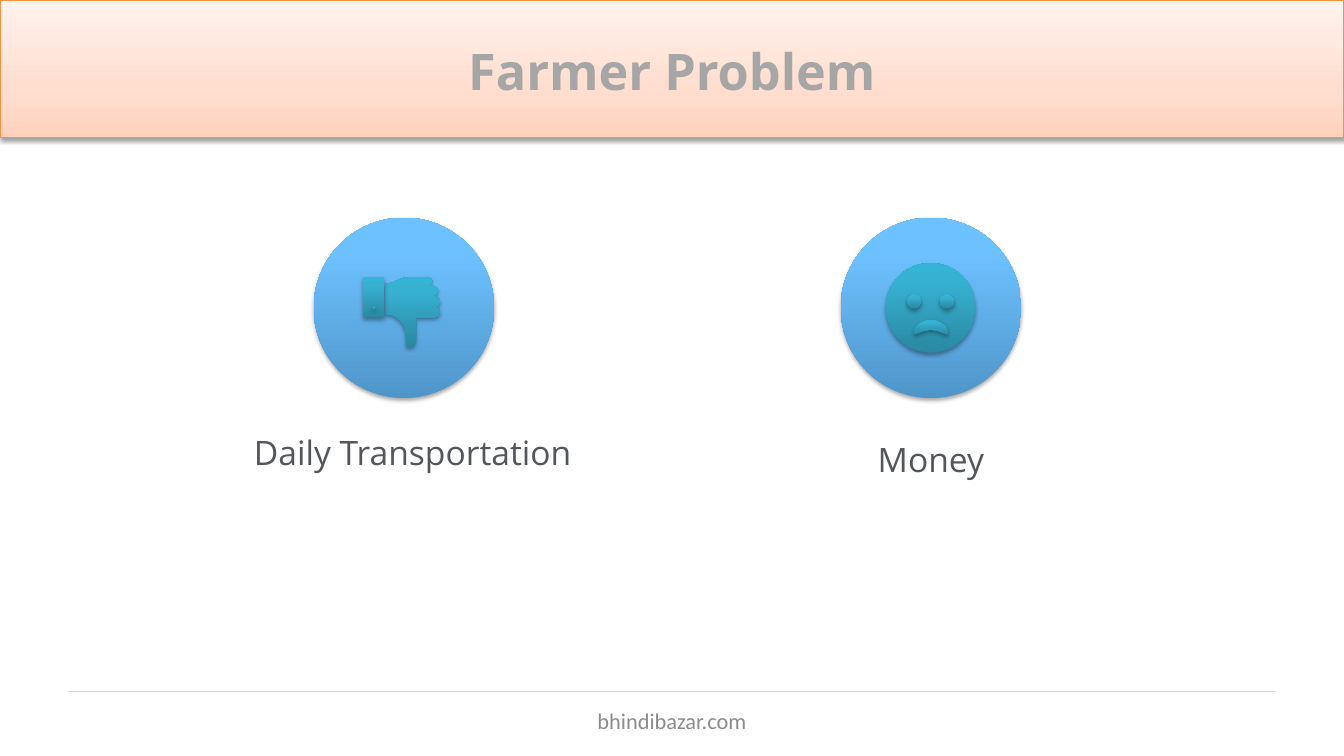
import pptx
import pptx.dml.color
import pptx.enum.shapes
import pptx.enum.text
import pptx.oxml
import pptx.oxml.ns
import pptx.util

Pt = pptx.util.Pt
MSO = pptx.enum.shapes.MSO_SHAPE
ANCHOR = pptx.enum.text.MSO_ANCHOR
NS = pptx.oxml.ns.nsdecls("a")

COLORS = {
    "rule": "D9D9D9",
    "header_line": "F69240",
    "title": "A6A6A6",
    "label": "53575C",
    "footer": "8C8C8C",
    "shadow": "000000",
}
GRADIENTS = {
    "header": [(0, "FFD2BD"), (35, "FFDED0"), (100, "FFF2ED")],
    "disc": [(0, "4F95C9"), (80, "6DC1FF"), (100, "6FC1FF")],
    "icon": [(0, "2A88A2"), (80, "37B1D2"), (100, "34B4D6")],
}
THUMB = [
    (16.6, 0), (31, 0), (33.1, 1.1), (33.8, 3), (33.1, 5), (31, 5.8),
    (33.8, 5.8), (36.7, 7.2), (38.2, 10), (36.7, 12.2), (33.8, 13.7),
    (36, 13.7), (38.9, 15.1), (39.6, 18), (38.2, 20.2), (36, 20.9),
    (38.9, 22.3), (39.6, 25.2), (38.2, 27.4), (36, 28.8), (22.3, 28.8),
    (22.3, 46), (20.9, 49), (18, 49.7), (15.8, 49.7), (15.1, 48.2),
    (15.1, 42.5), (14.4, 38.2), (13, 33.8), (10.8, 31), (7.2, 28),
    (3.6, 26.6), (0, 26.6), (0, 4.3), (3.6, 4.3), (7.2, 2.9),
    (10.8, 1.4), (13.7, 0.5),
]
MOUTH_WIDTH = 24.5
MOUTH_HALF = [
    (12.25, 0), (15.8, 0.7), (19.4, 2.2), (22.3, 4.3), (23.8, 6.5),
    (24.5, 9.4), (23.8, 10.6), (22.3, 10.1), (19.4, 8.8), (15.8, 7.7),
    (12.25, 7.2),
]
MOUTH = MOUTH_HALF + [(MOUTH_WIDTH - x, y) for x, y in MOUTH_HALF[-2:0:-1]]


def rgb(name):
    return pptx.dml.color.RGBColor.from_string(COLORS[name])


def add_effects(sp, content=""):
    sp._element.spPr.append(pptx.oxml.parse_xml(f"<a:effectLst {NS}>{content}</a:effectLst>"))


def style(sp, gradient, line=None, alpha=35, dist=1.8):
    sp.fill.gradient()
    sp.fill.gradient_angle = 90
    stops = "".join(
        f'<a:gs pos="{pos * 1000}"><a:srgbClr val="{color}"/></a:gs>'
        for pos, color in GRADIENTS[gradient]
    )
    old = sp._element.spPr.find(".//" + pptx.oxml.ns.qn("a:gsLst"))
    old.getparent().replace(old, pptx.oxml.parse_xml(f"<a:gsLst {NS}>{stops}</a:gsLst>"))
    if line:
        sp.line.color.rgb = rgb(line)
        sp.line.width = Pt(0.75)
    else:
        sp.line.fill.background()
    add_effects(
        sp,
        f'<a:outerShdw blurRad="{Pt(3.1)}" dist="{Pt(dist)}" dir="5400000" rotWithShape="0">'
        f'<a:srgbClr val="{COLORS["shadow"]}"><a:alpha val="{alpha * 1000}"/></a:srgbClr>'
        "</a:outerShdw>",
    )


def add_preset(shapes, kind, x, y, w, h, gradient, **options):
    sp = shapes.add_shape(kind, Pt(x), Pt(y), Pt(w), Pt(h))
    style(sp, gradient, **options)


def add_outline(shapes, x, y, points, gradient):
    points = [(Pt(x + dx), Pt(y + dy)) for dx, dy in points]
    builder = shapes.build_freeform(*points[0])
    builder.add_line_segments(points[1:], close=True)
    style(builder.convert_to_shape(), gradient)


def add_text(s, x, y, w, h, text, size, font, color, bold=False,
             anchor=ANCHOR.MIDDLE, insets=(9.36, 5.04)):
    tf = s.shapes.add_textbox(Pt(x), Pt(y), Pt(w), Pt(h)).text_frame
    tf.word_wrap = True
    tf.vertical_anchor = anchor
    tf.margin_left = tf.margin_right = Pt(insets[0])
    tf.margin_top = tf.margin_bottom = Pt(insets[1])
    tf.text = text
    p = tf.paragraphs[0]
    p.alignment = pptx.enum.text.PP_ALIGN.CENTER
    r = p.runs[0]
    r.font.size = Pt(size)
    r.font.name = font
    r.font.bold = bold
    r.font.color.rgb = rgb(color)


def add_label(s, x, y, text):
    add_text(s, x, y, 303, 36, text, 24, "Open Sans", "label",
             anchor=ANCHOR.TOP, insets=(7.2, 3.6))


def add_rule(s, x1, x2, y):
    line = s.shapes.add_connector(pptx.enum.shapes.MSO_CONNECTOR.STRAIGHT,
                                  Pt(x1), Pt(y), Pt(x2), Pt(y))
    line.line.color.rgb = rgb("rule")
    line.line.width = Pt(0.75)
    add_effects(line)


def add_thumb_down(s):
    shapes = s.shapes.add_group_shape().shapes
    add_outline(shapes, 275, 198, THUMB, "icon")
    add_preset(shapes, MSO.RECTANGLE, 259, 198, 15.4, 28.8, "icon")
    add_preset(shapes, MSO.OVAL, 266.2, 219, 2, 2, "icon")


def add_sad_face(s):
    shapes = s.shapes.add_group_shape().shapes
    add_preset(shapes, MSO.OVAL, 632.7, 187.9, 64, 64, "icon")
    add_outline(shapes, 652.7, 228.4, MOUTH, "icon")
    for x in (671.2, 648):
        add_preset(shapes, MSO.OVAL, x, 210.2, 10.2, 10.2, "icon")


def main():
    prs = pptx.Presentation()
    prs.slide_width, prs.slide_height = Pt(960), Pt(540)
    s = prs.slides.add_slide(prs.slide_layouts[6])
    add_rule(s, 48.5, 911.5, 493.8)
    add_preset(s.shapes, MSO.RECTANGLE, 0, 0, 960, 98, "header",
               line="header_line", alpha=38, dist=1.6)
    add_text(s, 48, 21.8, 864, 56.2, "Farmer Problem", 36, "Open Sans", "title", bold=True)
    for x in (224, 600.5):
        add_preset(s.shapes, MSO.OVAL, x, 155.4, 129, 129, "disc")
    add_thumb_down(s)
    add_sad_face(s)
    add_label(s, 143.3, 305.3, "Daily Transportation")
    add_label(s, 513.4, 310.3, "Money")
    add_text(s, 328, 500.5, 304, 28.8, "bhindibazar.com", 16, "Calibri", "footer")
    prs.save("out.pptx")


if __name__ == "__main__":
    main()
